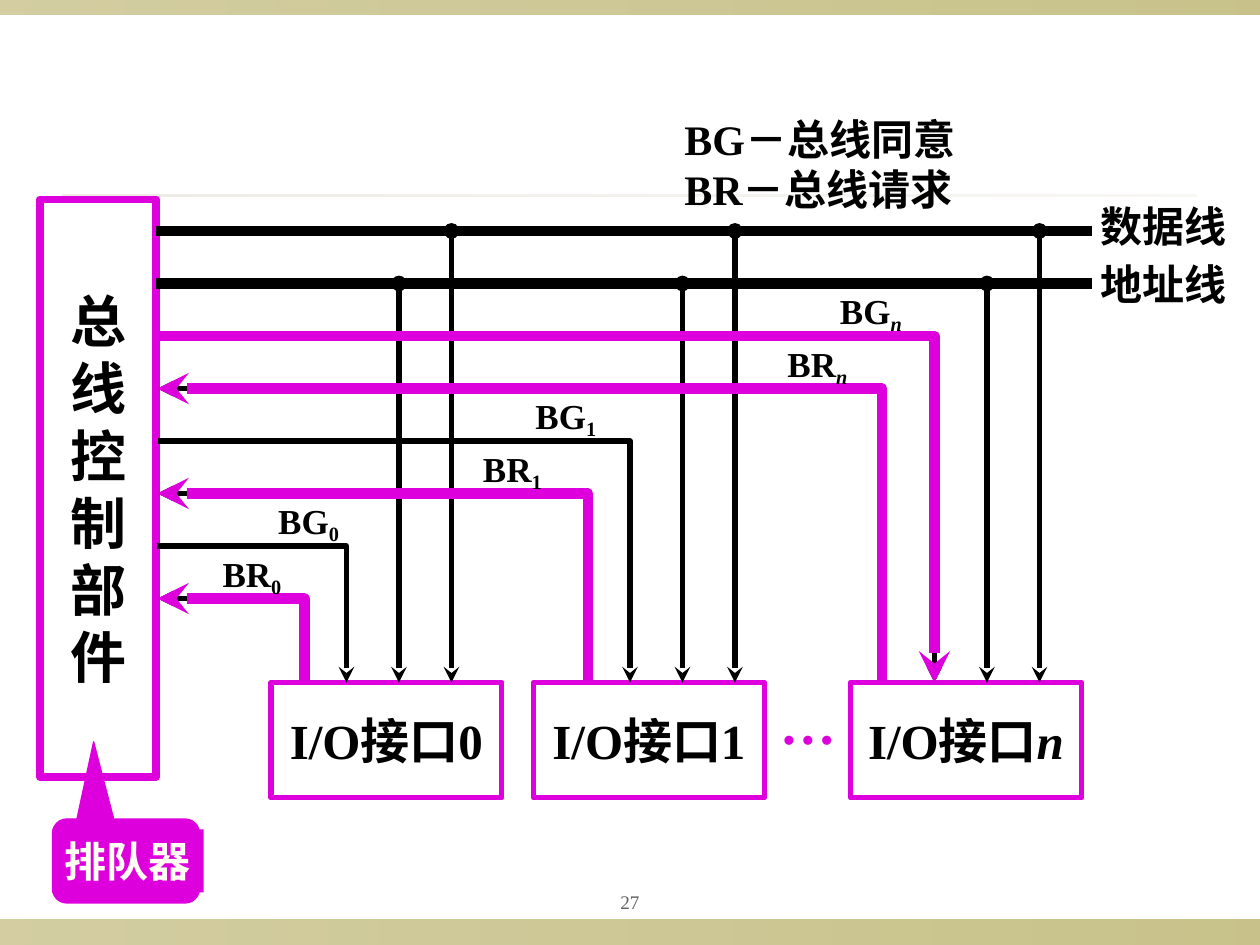
from dataclasses import dataclass

from lxml.etree import SubElement
from pptx import Presentation
from pptx.dml.color import RGBColor
from pptx.enum.shapes import MSO_CONNECTOR, MSO_SHAPE
from pptx.enum.text import MSO_ANCHOR, PP_ALIGN
from pptx.oxml.ns import qn
from pptx.util import Pt

PX = 7620  # EMU; 120 px to the inch
BUS_RIGHT = 1040
DATA_Y, ADDRESS_Y = 220, 270
WIRE_LEFT, UNIT_TOP = 150, 650
WIRE_GAP = LINE_GAP = 50
LABEL_RISE = 44


@dataclass(frozen=True)
class Theme:
    font: str = "Times New Roman"
    ink: str = "000000"
    accent: str = "DD00DD"
    pale: str = "FFFFF4"
    grey: str = "636363"
    band: str = "918415"
    rule: str = "DCD9CC"
    page: int = 11
    label: int = 20
    body: int = 24
    unit: int = 28
    control: int = 32
    hairline: float = 0.75
    thin: int = 3
    frame: float = 4.5
    thick: int = 6


@dataclass(frozen=True)
class Unit:
    name: str
    left: int
    request_x: int
    grant_x: int
    request_y: int
    request_label_x: int
    grant_label_x: int
    grant_color: str


THEME = Theme()
UNITS = [
    Unit("0", 258, 290, 330, 570, 212, 265, THEME.ink),
    Unit("1", 508, 560, 600, 470, 460, 510, THEME.ink),
    Unit("n", 810, 840, 890, 370, 750, 800, THEME.accent),
]


def emu(*lengths):
    return [length * PX for length in lengths]


def rgb(color):
    return RGBColor.from_string(color)


def style_run(r, size, color, bold=True):
    r.font.name = THEME.font
    r.font.size = Pt(size)
    r.font.bold = bold
    r.font.color.rgb = rgb(color)


def write(sp, text, size, color=THEME.ink, align=PP_ALIGN.LEFT,
          anchor=MSO_ANCHOR.TOP, wrap=False, bold=True, inset=(12, 6)):
    tf = sp.text_frame
    tf.text = text
    tf.word_wrap = wrap
    tf.vertical_anchor = anchor
    tf.margin_left = tf.margin_right = inset[0] * PX
    tf.margin_top = tf.margin_bottom = inset[1] * PX
    for p in tf.paragraphs:
        p.alignment = align
        for r in p.runs:
            style_run(r, size, color, bold)


def add_suffix(p, text, size):
    """Append an index; the variable n is set in italics."""
    r = p.add_run()
    r.text = text
    style_run(r, size, THEME.ink)
    r.font.italic = text == "n"
    return r


def add_text(slide, box, text, size, **options):
    sp = slide.shapes.add_textbox(*emu(*box))
    write(sp, text, size, **options)
    return sp


def add_box(slide, box, fill=None, line=None, width=0, kind=MSO_SHAPE.RECTANGLE):
    sp = slide.shapes.add_shape(kind, *emu(*box))
    sp.shadow.inherit = False
    if fill:
        sp.fill.solid()
        sp.fill.fore_color.rgb = rgb(fill)
    else:
        sp.fill.background()
    if line:
        sp.line.color.rgb = rgb(line)
        sp.line.width = Pt(width)
    else:
        sp.line.fill.background()
    return sp


def set_line(sp, color, width, head=None, tail=None):
    sp.line.color.rgb = rgb(color)
    sp.line.width = Pt(width)
    ln = sp.line._get_or_add_ln()
    SubElement(ln, qn("a:round"))
    for tag, end in (("a:headEnd", head), ("a:tailEnd", tail)):
        if end:
            SubElement(ln, qn(tag), type=end)


def add_line(slide, start, stop, width, head=None, tail=None):
    sp = slide.shapes.add_connector(MSO_CONNECTOR.STRAIGHT, *emu(*start, *stop))
    set_line(sp, THEME.ink, width, head, tail)
    SubElement(sp._element.spPr, qn("a:effectLst"))


def add_wire(slide, x, y, color, width, head=None, tail=None):
    """Run from the control box to x, then down to the top of a unit."""
    builder = slide.shapes.build_freeform(WIRE_LEFT, y, scale=PX)
    builder.add_line_segments([(x, y), (x, UNIT_TOP)], close=False)
    sp = builder.convert_to_shape()
    sp.shadow.inherit = False
    sp.fill.background()
    set_line(sp, color, width, head, tail)


def add_band(slide, box, color, alphas):
    sp = add_box(slide, box)
    sp.fill.gradient()
    sp.fill.gradient_angle = 0
    for stop, position in zip(sp.fill.gradient_stops, (0, 1)):
        stop.color.rgb = rgb(color)
        stop.position = position
    for clr, alpha in zip(sp._element.spPr.iter(qn("a:srgbClr")), alphas):
        SubElement(clr, qn("a:alpha"), val=str(alpha * 1000))


def draw_page_frame(slide):
    add_band(slide, (0, 876, 1200, 24), THEME.band, (40, 50))
    add_band(slide, (0, 0, 1200, 14), THEME.band, (40, 50))
    add_band(slide, (60, 185, 1080, 2), THEME.rule, (50, 20))
    add_text(slide, (540, 840, 120, 37), "27", THEME.page, color=THEME.grey,
             align=PP_ALIGN.CENTER, anchor=MSO_ANCHOR.MIDDLE, bold=False, inset=(6, 6))


def draw_queue_callout(slide, left, top):
    sp = add_box(slide, (left, top, 140, 80), THEME.accent, THEME.accent,
                 THEME.hairline, MSO_SHAPE.ROUNDED_RECTANGULAR_CALLOUT)
    for i, value in enumerate((-0.22, -1.42, 0.17)):
        sp.adjustments[i] = value
    sp = add_box(slide, (left, top + 10, 144, 60), THEME.accent)
    write(sp, "排队器", THEME.body, color=THEME.pale)


def draw_control(slide, left, top, width, height):
    sp = add_box(slide, (left, top, width, height), line=THEME.accent, width=THEME.frame)
    write(sp, "\n".join("总线控制部件"), THEME.control,
          align=PP_ALIGN.CENTER, anchor=MSO_ANCHOR.MIDDLE)
    for name, y, label_y in (("数据线", DATA_Y, 185), ("地址线", ADDRESS_Y, 240)):
        add_line(slide, (left + width, y), (BUS_RIGHT, y), THEME.thick)
        add_text(slide, (BUS_RIGHT - 4, label_y, 144, 60), name, THEME.body)


def draw_unit(slide, unit):
    sp = add_box(slide, (unit.left, UNIT_TOP, 220, 110), line=THEME.accent, width=THEME.thin)
    write(sp, "I/O接口", THEME.unit, align=PP_ALIGN.CENTER, anchor=MSO_ANCHOR.MIDDLE)
    add_suffix(sp.text_frame.paragraphs[0], unit.name, THEME.unit)

    wires = (
        ("BR", unit.request_x, unit.request_y, unit.request_label_x,
         THEME.accent, {"head": "stealth"}),
        ("BG", unit.grant_x, unit.request_y - WIRE_GAP, unit.grant_label_x,
         unit.grant_color, {"tail": "stealth"}),
    )
    for i, bus_y in enumerate((ADDRESS_Y, DATA_Y), start=1):
        x = unit.grant_x + i * LINE_GAP
        add_line(slide, (x, bus_y), (x, UNIT_TOP), THEME.thin, "oval", "stealth")
    for name, x, y, label_x, color, ends in wires:
        add_wire(slide, x, y, THEME.ink, THEME.thin, **ends)
        if color == THEME.accent:
            add_wire(slide, x, y, color, THEME.thick, **ends)
        sp = add_text(slide, (label_x, y - LABEL_RISE, 110, 44), name, THEME.label,
                      wrap=True, inset=(0, 0))
        r = add_suffix(sp.text_frame.paragraphs[0], unit.name, THEME.label)
        r.font._element.set("baseline", "-20000")


def main():
    prs = Presentation()
    prs.slide_width, prs.slide_height = emu(1200, 900)
    slide = prs.slides.add_slide(prs.slide_layouts[6])
    draw_page_frame(slide)
    draw_queue_callout(slide, 50, 780)
    draw_control(slide, 38, 190, 111, 550)
    for unit in UNITS:
        draw_unit(slide, unit)
    add_text(slide, (731, 650, 77, 77), "…", THEME.control, color=THEME.accent)
    add_text(slide, (640, 102, 310, 110), "BG－总线同意\nBR－总线请求", THEME.body, wrap=True)
    prs.save("out.pptx")


if __name__ == "__main__":
    main()
